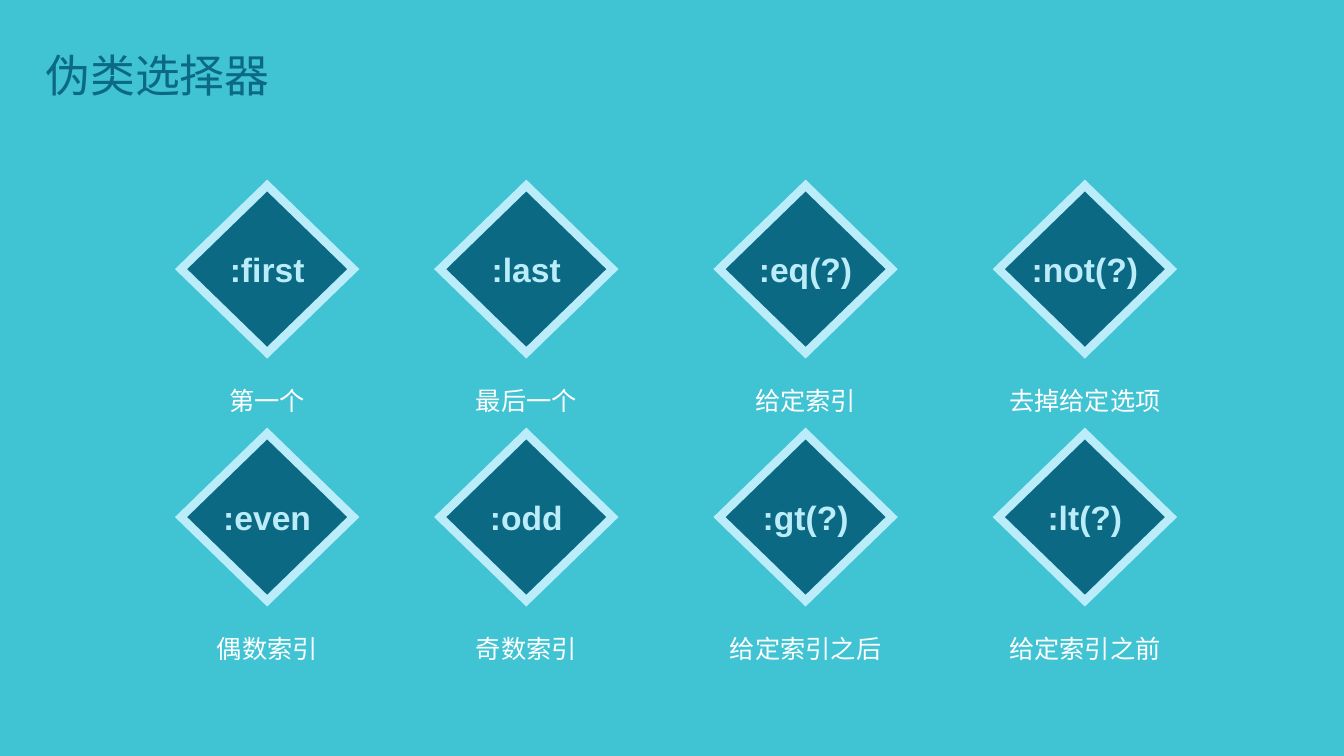
"""Build a slide that lists pseudo-class selectors as two rows of diamonds."""
import pptx
import pptx.dml.color
import pptx.enum.shapes
import pptx.enum.text
import pptx.oxml
import pptx.util
from pptx.util import Inches

HEADING = "伪类选择器"
SELECTORS = [
    [(":first", "第一个"), (":last", "最后一个"), (":eq(?)", "给定索引"), (":not(?)", "去掉给定选项")],
    [(":even", "偶数索引"), (":odd", "奇数索引"), (":gt(?)", "给定索引之后"), (":lt(?)", "给定索引之前")],
]
AQUA, TEAL, ICE, WHITE = "40C3D3", "0B6983", "BBECF9", "FFFFFF"
COLUMN_CENTERS = (2.65, 5.22, 7.99, 10.76)
FIRST_ROW_TOP, ROW_STEP = 1.84, 2.46
DIAMOND_WIDTH, DIAMOND_HEIGHT = 1.71, 1.66
MEANING_WIDTH, MEANING_HEIGHT, MEANING_DROP = 2.32, 0.56, 1.78
MITER = '<a:miter xmlns:a="http://schemas.openxmlformats.org/drawingml/2006/main" lim="800000"/>'


def paint(color_holder, color):
    color_holder.rgb = pptx.dml.color.RGBColor.from_string(color)


def write(frame, words, size, color, align, spacing=1.0, bold=False, wrap=True):
    frame.text = words
    frame.word_wrap = wrap
    frame.auto_size = pptx.enum.text.MSO_AUTO_SIZE.NONE
    paragraph = frame.paragraphs[0]
    paragraph.alignment = align
    paragraph.line_spacing = spacing
    font = paragraph.runs[0].font
    font.name, font.size, font.bold = "Arial", pptx.util.Pt(size), bold
    paint(font.color, color)


def add_selector(slide, selector, meaning, center, top):
    align = pptx.enum.text.PP_ALIGN.CENTER
    caption = slide.shapes.add_textbox(
        Inches(center - MEANING_WIDTH / 2), Inches(top + MEANING_DROP),
        Inches(MEANING_WIDTH), Inches(MEANING_HEIGHT))
    write(caption.text_frame, meaning, 18, WHITE, align, spacing=1.5)

    diamond = slide.shapes.add_shape(
        pptx.enum.shapes.MSO_SHAPE.DIAMOND,
        Inches(center - DIAMOND_WIDTH / 2), Inches(top),
        Inches(DIAMOND_WIDTH), Inches(DIAMOND_HEIGHT))
    diamond.shadow.inherit = False
    diamond.fill.solid()
    paint(diamond.fill.fore_color, TEAL)
    diamond.line.width = pptx.util.Pt(6)
    paint(diamond.line.color, ICE)
    diamond.line._get_or_add_ln().append(pptx.oxml.parse_xml(MITER))
    diamond.text_frame.vertical_anchor = pptx.enum.text.MSO_ANCHOR.MIDDLE
    write(diamond.text_frame, selector, 24, ICE, align, bold=True, wrap=False)


def main():
    deck = pptx.Presentation()
    deck.slide_width, deck.slide_height = Inches(13.33), Inches(7.5)
    slide = deck.slides.add_slide(deck.slide_layouts[5])
    slide.background.fill.solid()
    paint(slide.background.fill.fore_color, AQUA)

    title = slide.shapes.title
    title.left, title.top = Inches(0.35), Inches(0.18)
    title.width, title.height = Inches(7.29), Inches(1.18)
    title.text_frame.vertical_anchor = pptx.enum.text.MSO_ANCHOR.MIDDLE
    write(title.text_frame, HEADING, 32, TEAL, pptx.enum.text.PP_ALIGN.LEFT, spacing=0.9)

    for row, selectors in enumerate(SELECTORS):
        for center, (selector, meaning) in zip(COLUMN_CENTERS, selectors):
            add_selector(slide, selector, meaning, center, FIRST_ROW_TOP + row * ROW_STEP)

    deck.save("out.pptx")


if __name__ == "__main__":
    main()
